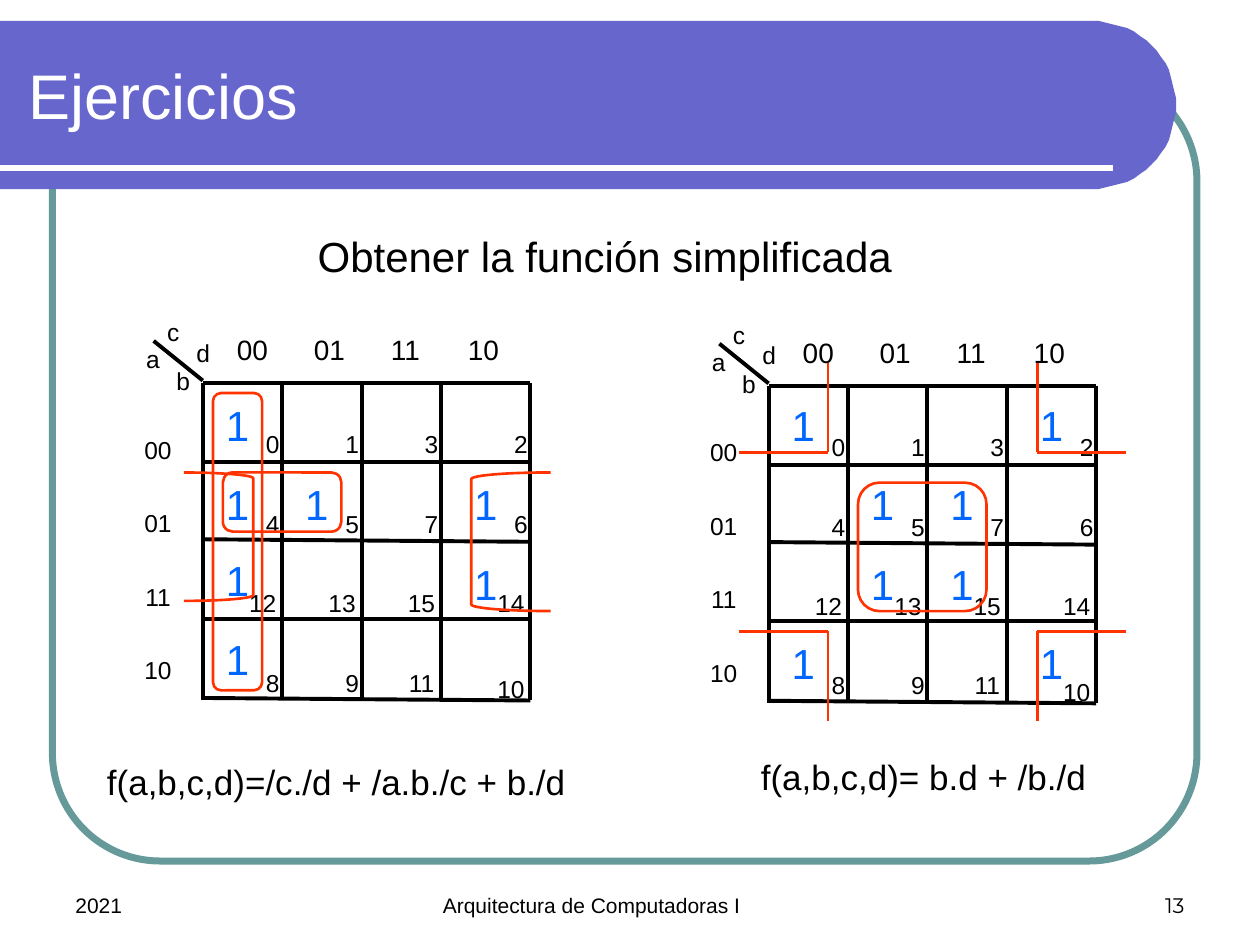
"""Build a slide with two solved Karnaugh map exercises."""
import math

import pptx
import pptx.dml.color
import pptx.enum.shapes
import pptx.enum.text
import pptx.oxml.xmlchemy
import pptx.util

Pt = pptx.util.Pt
RGBColor = pptx.dml.color.RGBColor
SHAPE = pptx.enum.shapes.MSO_SHAPE
ALIGN = pptx.enum.text.PP_ALIGN
ANCHOR = pptx.enum.text.MSO_ANCHOR

BLACK = RGBColor(0x00, 0x00, 0x00)
WHITE = RGBColor(0xFF, 0xFF, 0xFF)
TEAL = RGBColor(0x66, 0x99, 0x99)
VIOLET = RGBColor(0x66, 0x66, 0xCC)
BLUE = RGBColor(0x00, 0x66, 0xFF)
RED = RGBColor(0xFF, 0x33, 0x00)

STEP = 45.36
COLUMN_LINES = (0, STEP, 2 * STEP, 3 * STEP, 187.2)
ROW_LINES = (0, STEP, 2 * STEP, 134.6, 181.4)
LEFT_SAG = (0, 0, 1.44, 0, 1.44)
GRAY_CODE = (0, 1, 3, 2)


def write_text(frame, text, size=14, color=BLACK, font="Arial", align=ALIGN.CENTER,
               anchor=ANCHOR.TOP, spacing=None):
    """Fill a text frame with one paragraph for each line of text."""
    frame.word_wrap = True
    frame.auto_size = pptx.enum.text.MSO_AUTO_SIZE.NONE
    frame.vertical_anchor = anchor
    for index, words in enumerate(text.split("\n")):
        para = frame.add_paragraph() if index else frame.paragraphs[0]
        para.alignment = align
        if spacing:
            para.line_spacing = spacing
        span = para.add_run()
        span.text = words
        span.font.name = font
        span.font.size = Pt(size)
        span.font.color.rgb = color


def add_text(page, text, left, top, width, height, **style):
    """Add a text box and return it."""
    box = page.shapes.add_textbox(Pt(left), Pt(top), Pt(width), Pt(height))
    write_text(box.text_frame, text, **style)
    return box


def add_line(page, start, end, color=BLACK, weight=2.25):
    """Add a straight line without a shadow."""
    line = page.shapes.add_connector(
        pptx.enum.shapes.MSO_CONNECTOR.STRAIGHT, *(Pt(value) for value in (*start, *end)))
    line.line.color.rgb = color
    line.line.width = Pt(weight)
    line._element.spPr.append(pptx.oxml.xmlchemy.OxmlElement("a:effectLst"))


def add_outline(page, kind, left, top, width, height, color=RED, weight=1.5):
    """Add an unfilled preset shape and return it."""
    shape = page.shapes.add_shape(kind, Pt(left), Pt(top), Pt(width), Pt(height))
    shape.shadow.inherit = False
    shape.fill.background()
    shape.line.color.rgb = color
    shape.line.width = Pt(weight)
    return shape


def add_banner(page):
    """Add the frame and the round-ended title band."""
    frame = add_outline(page, SHAPE.ROUNDED_RECTANGLE, 30, 42, 654, 450, TEAL, 4)
    frame.adjustments[0] = 0.137
    radius, center_x, center_y = 48, 624, 60
    angles = [math.radians(degree) for degree in range(-90, 91, 5)]
    arc = [(center_x + radius * math.cos(angle), center_y + radius * math.sin(angle))
           for angle in angles]
    builder = page.shapes.build_freeform(0, center_y - radius, scale=float(Pt(1)))
    builder.add_line_segments([*arc, (0, center_y + radius)], close=True)
    band = builder.convert_to_shape()
    band.shadow.inherit = False
    band.fill.solid()
    band.fill.fore_color.rgb = VIOLET
    band.line.fill.background()
    add_line(page, (0, 96), (636, 96), WHITE, 3)


def add_title(page, text):
    """Place the title in front of the band."""
    title = page.shapes.title
    title.left, title.top, title.width, title.height = Pt(9), Pt(18), Pt(499), Pt(72)
    write_text(title.text_frame, text, size=36, color=WHITE, align=ALIGN.LEFT,
               anchor=ANCHOR.MIDDLE)
    title._element.getparent().append(title._element)


def add_column_codes(page, left, top):
    """Add the column codes on evenly spaced tab stops."""
    box = add_text(page, "00\t01\t11\t10", left, top, 181.4, 26.6, size=16, align=ALIGN.LEFT)
    box.text_frame.margin_left = Pt(13.7)
    properties = box.text_frame.paragraphs[0]._p.get_or_add_pPr()
    stops = pptx.oxml.xmlchemy.OxmlElement("a:tabLst")
    for index in range(1, 4):
        stop = pptx.oxml.xmlchemy.OxmlElement("a:tab")
        stop.set("pos", str(int(Pt(44 * index))))
        stop.set("algn", "l")
        stops.append(stop)
    properties.append(stops)


def add_map(page, left, top):
    """Add the grid, variables, codes and cell numbers of one map."""
    right, bottom = left + COLUMN_LINES[-1], top + ROW_LINES[-1]
    for offset in COLUMN_LINES:
        add_line(page, (left + offset, top), (left + offset, bottom))
    for offset, sag in zip(ROW_LINES, LEFT_SAG):
        add_line(page, (right, top + offset), (left, top + offset - sag))
    add_line(page, (left - 28.1, top - 24.1), (left, top - 1.4))
    for name, x, y in (("c", -33.8, -41), ("d", -16.6, -29.5),
                       ("a", -45.4, -25.9), ("b", -28.1, -13)):
        add_text(page, name, left + x, top + y, 33.8, 24.5)
    add_text(page, "00\n01\n11\n10", left - 45.4, top + 0.7, 39.6, 169.2, spacing=2.5)
    add_column_codes(page, left + 5.8, top - 32.4)
    for row, row_code in enumerate(GRAY_CODE):
        for column, column_code in enumerate(GRAY_CODE):
            number = 4 * row_code + column_code
            x = left + COLUMN_LINES[column + 1] - (28 if number > 9 else 22.3)
            y = top + STEP * row + (26.6 if number == 10 else 23)
            add_text(page, str(number), x, y, 33.8, 24.5)


def add_ones(page, left, top, cells):
    """Add a one in each cell, given as column, row and upward shift."""
    for column, row, lift in cells:
        x = left + STEP * column + (5.8 if column == 3 else 0)
        add_text(page, "1", x, top + 5.8 + STEP * row - lift, 39.6, 36, size=24, color=BLUE)


def add_corner_loops(page):
    """Add the open loops that join the four corners of the right map."""
    for inner_x, outer_x in ((473.2, 422.4), (592.7, 643.6)):
        for inner_y, outer_y in ((258.5, 207.4), (360.7, 411.8)):
            add_line(page, (inner_x, inner_y), (outer_x, inner_y), RED, 1.5)
            add_line(page, (inner_x, inner_y), (inner_x, outer_y), RED, 1.5)


def main():
    """Build and save the deck."""
    deck = pptx.Presentation()
    deck.slide_width, deck.slide_height = Pt(720), Pt(540)
    page = deck.slides.add_slide(deck.slide_layouts[5])
    add_banner(page)
    add_title(page, "Ejercicios")

    left_map, right_map = (115.9, 218.9), (439.2, 220.5)
    add_map(page, *left_map)
    add_map(page, *right_map)
    add_ones(page, *left_map, [(0, 0, 0), (0, 1, 0), (1, 1, 0), (3, 1, 0),
                               (0, 2, 2.2), (3, 2, 0), (0, 3, 2.2)])
    add_ones(page, 439.2, 218.9, [(column, row, 0) for column, row in (
        (0, 0), (3, 0), (1, 1), (2, 1), (1, 2), (2, 2), (0, 3), (3, 3))])

    add_outline(page, SHAPE.ROUNDED_RECTANGLE, 121.7, 224.6, 28.1, 169.9)
    add_outline(page, SHAPE.LEFT_BRACKET, 269.3, 270, 45.4, 79.2)
    add_outline(page, SHAPE.RIGHT_BRACKET, 105.1, 270, 39.6, 73.4)
    add_outline(page, SHAPE.ROUNDED_RECTANGLE, 127.4, 270, 67.7, 33.8)
    add_outline(page, SHAPE.ROUNDED_RECTANGLE, 490.3, 275.8, 73.4, 73.4)
    add_corner_loops(page)

    add_text(page, "Obtener la función simplificada", 161.3, 128.2, 368.6, 36, size=24)
    add_text(page, "f(a,b,c,d)=/c./d + /a.b./c + b./d", 54, 431.3, 289.4, 31.7,
             size=20, align=ALIGN.LEFT)
    add_text(page, "f(a,b,c,d)= b.d + /b./d", 427.7, 428.4, 203.8, 31.7,
             size=20, align=ALIGN.LEFT)

    footer = {"size": 12, "anchor": ANCHOR.BOTTOM}
    add_text(page, "2021", 36, 492, 168, 36, align=ALIGN.LEFT, **footer)
    add_text(page, "Arquitectura de Computadoras I", 246, 492, 228, 36,
             align=ALIGN.LEFT, **footer)
    add_text(page, "13", 516, 492, 168, 36, align=ALIGN.RIGHT, font="Montserrat", **footer)
    deck.save("out.pptx")


if __name__ == "__main__":
    main()
